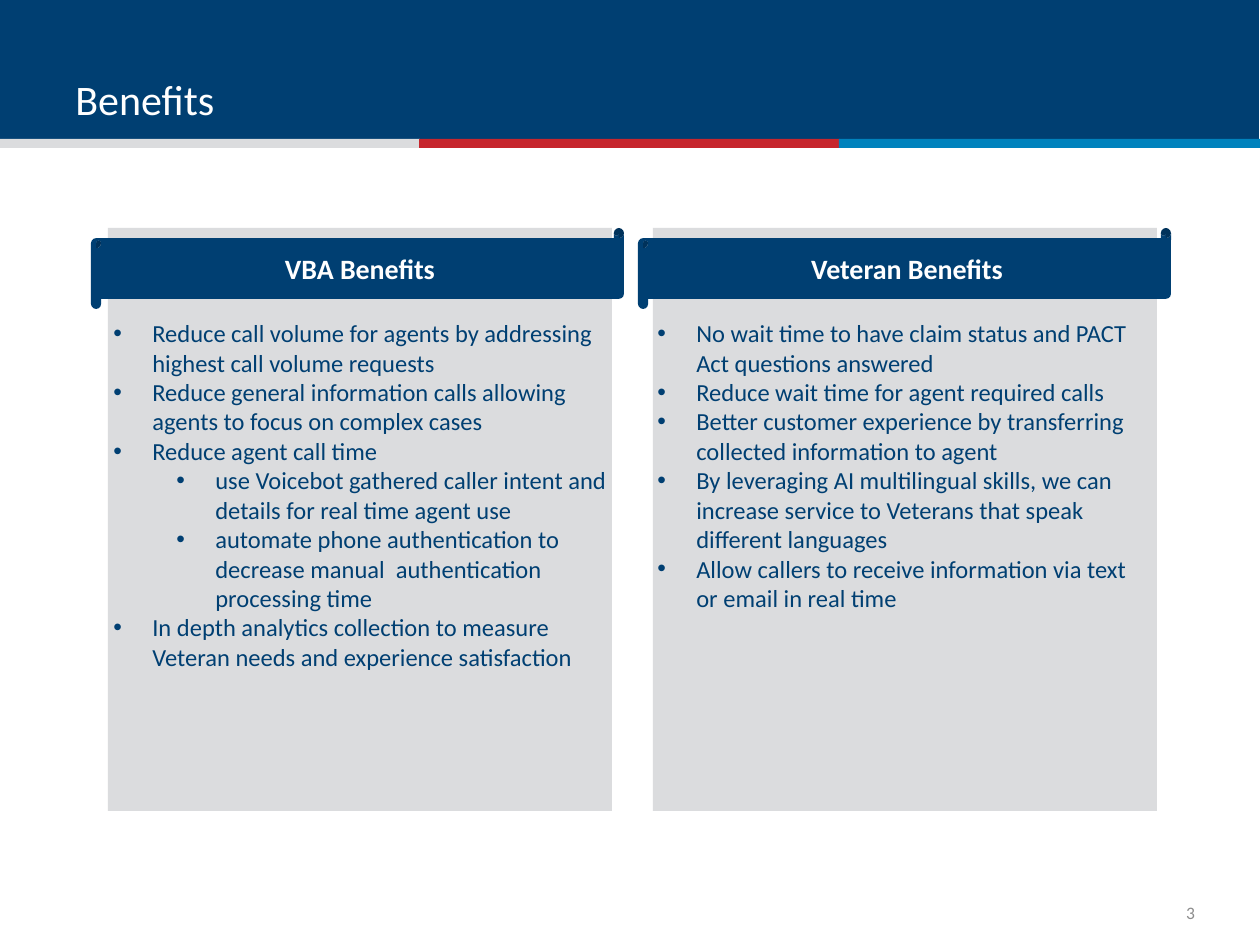
from lxml import etree
from pptx import Presentation, util as u
from pptx.dml.color import RGBColor
from pptx.enum import shapes, text
from pptx.oxml.ns import qn

HUES = {"navy": "003F72", "grey": "DBDCDE", "red": "C6262D",
        "blue": "0082BD", "white": "FFFFFF", "dim": "8C8C8C"}
TITLE, PAGE = "Benefits", "3"
STRIPES = ["grey", "red", "blue"]
# heading, lefts of card, scroll and list, list height, (level, item) pairs
COLUMNS = [
    ("VBA Benefits", (108, 91, 101), 437, [
        (0, "Reduce call volume for agents by addressing highest call volume requests"),
        (0, "Reduce general information calls allowing agents to focus on complex cases"),
        (0, "Reduce agent call time"),
        (1, "use Voicebot gathered caller intent and details for real time agent use"),
        (1, "automate phone authentication to decrease manual  authentication processing time"),
        (0, "In depth analytics collection to measure Veteran needs and experience satisfaction"),
    ]),
    ("Veteran Benefits", (653, 638, 645), 369, [
        (0, "No wait time to have claim status and PACT Act questions answered"),
        (0, "Reduce wait time for agent required calls"),
        (0, "Better customer experience by transferring collected information to agent"),
        (0, "By leveraging AI multilingual skills, we can increase service to Veterans that speak different languages"),
        (0, "Allow callers to receive information via text or email in real time"),
    ]),
]

PX = 914400 / 126
KIND, ALIGN, ANCHOR = shapes.MSO_SHAPE, text.PP_ALIGN, text.MSO_ANCHOR


def emu(*vals):
    return [round(v * PX) for v in vals]


def block(box, hue, kind=KIND.RECTANGLE):
    shape = slide.shapes.add_shape(kind, *emu(*box))
    shape.shadow.inherit = False
    shape.fill.solid()
    shape.fill.fore_color.rgb = RGBColor.from_string(HUES[hue])
    shape.line.fill.background()
    return shape


def write(shape, items, size, hue, bold=False, align=ALIGN.LEFT, **frame):
    """Fill a shape with paragraphs and return them."""
    body = shape.text_frame
    for name, val in {"word_wrap": True, **frame}.items():
        setattr(body, name, val)
    for i, item in enumerate(items):
        para = body.paragraphs[0] if i == 0 else body.add_paragraph()
        para.alignment = align
        run = para.add_run()
        run.text = item
        look = {"name": "Calibri", "size": u.Pt(size), "bold": bold}
        for name, val in look.items():
            setattr(run.font, name, val)
        run.font.color.rgb = RGBColor.from_string(HUES[hue])
    return body.paragraphs


def bullet(para, level):
    para.level = level
    props = para._p.get_or_add_pPr()
    props.set("marL", str(emu(39 + 63 * level)[0]))
    props.set("indent", str(emu(-39)[0]))
    etree.SubElement(props, qn("a:buFont"), typeface="Arial")
    etree.SubElement(props, qn("a:buChar"), char="•")


deck = Presentation()
deck.slide_width, deck.slide_height = emu(1260, 945)
slide = deck.slides.add_slide(deck.slide_layouts[6])

block((-1, 0, 1260, 144), "navy")
for i, hue in enumerate(STRIPES):
    block((420 * i - 1, 139, 421, 9), hue)

head = slide.shapes.add_textbox(*emu(63, 18, 1134, 112))
write(head, [TITLE], 24, "white", vertical_anchor=ANCHOR.BOTTOM)
foot = slide.shapes.add_textbox(*emu(1158, 888, 37, 49))
bare = {f"margin_{side}": 0 for side in ("left", "top", "right", "bottom")}
write(foot, [PAGE], 10, "dim", align=ALIGN.RIGHT,
      vertical_anchor=ANCHOR.MIDDLE, **bare)

for name, (card, scroll, left), tall, items in COLUMNS:
    block((card, 228, 504, 583), "grey")
    banner = block((scroll, 228, 533, 81), "navy", KIND.HORIZONTAL_SCROLL)
    write(banner, [name], 16, "white", True, ALIGN.CENTER,
          vertical_anchor=ANCHOR.MIDDLE)
    area = slide.shapes.add_textbox(*emu(left, 312, 519, tall))
    paras = write(area, [item for _, item in items], 14, "navy",
                  auto_size=text.MSO_AUTO_SIZE.SHAPE_TO_FIT_TEXT)
    for para, (level, _) in zip(paras, items):
        bullet(para, level)

deck.save("out.pptx")
